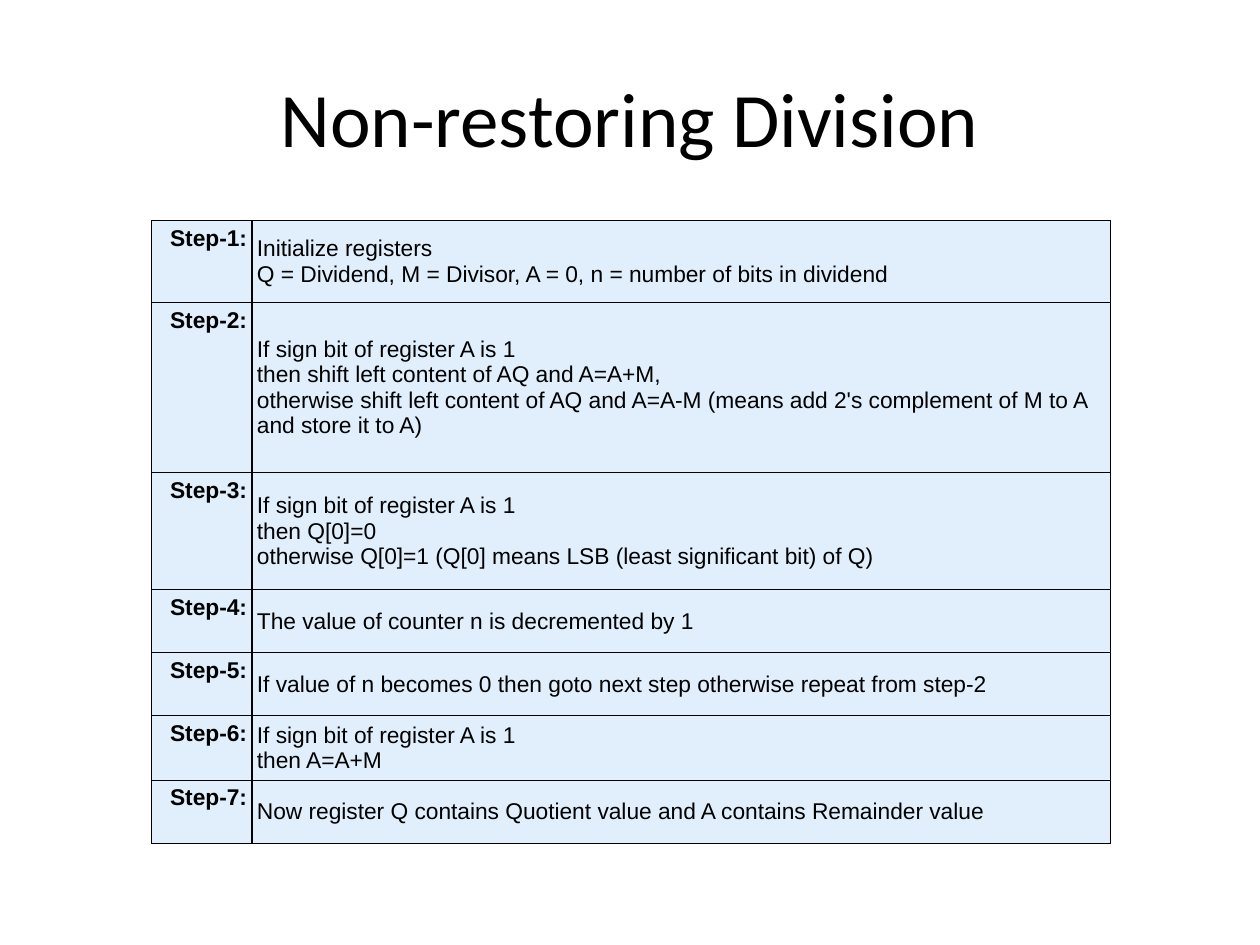
from copy import deepcopy

from lxml import etree
from pptx import Presentation
from pptx import util as u
from pptx.dml.color import RGBColor
from pptx.enum import text
from pptx.oxml import ns

BLACK = "000000"
PALE_BLUE = "E1EFFD"
COLUMN_WIDTHS = (2.03, 17.3)

# Row height in cm and wording of each step
STEPS = [
    (1.65, "Initialize registers\n"
           "Q = Dividend, M = Divisor, A = 0, n = number of bits in dividend"),
    (3.43, "If sign bit of register A is 1\n"
           "then shift left content of AQ and A=A+M,\n"
           "otherwise shift left content of AQ and A=A-M "
           "(means add 2's complement of M to A and store it to A)"),
    (2.36, "If sign bit of register A is 1\n"
           "then Q[0]=0\n"
           "otherwise Q[0]=1 (Q[0] means LSB (least significant bit) of Q)"),
    (1.27, "The value of counter n is decremented by 1"),
    (1.27, "If value of n becomes 0 then goto next step otherwise repeat from step-2"),
    (1.3, "If sign bit of register A is 1\nthen A=A+M"),
    (1.27, "Now register Q contains Quotient value and A contains Remainder value"),
]


def color(value):
    return RGBColor.from_string(value)


def format_text(para, font, size, bold=False):
    for span in para.runs:
        span.font.name = font
        span.font.size = u.Pt(size)
        span.font.bold = bold
        span.font.color.rgb = color(BLACK)
    # Line breaks take the size of the text around them
    for line_break in para._p.findall(ns.qn("a:br")):
        line_break.append(deepcopy(para.runs[0]._r.rPr))


def add_borders(cell, width=0.75):
    properties = cell._tc.get_or_add_tcPr()
    for side in ("lnL", "lnR", "lnT", "lnB"):
        line = etree.SubElement(properties, ns.qn(f"a:{side}"), w=str(u.Pt(width)))
        fill = etree.SubElement(line, ns.qn("a:solidFill"))
        etree.SubElement(fill, ns.qn("a:srgbClr"), val=BLACK)


def fill_cell(cell, wording, align, anchor, bold=False):
    add_borders(cell)
    cell.fill.solid()
    cell.fill.fore_color.rgb = color(PALE_BLUE)
    cell.margin_left = cell.margin_right = u.Cm(0.1)
    cell.margin_top = cell.margin_bottom = u.Cm(0.1)
    cell.vertical_anchor = anchor
    para = cell.text_frame.paragraphs[0]
    para.text = wording
    para.alignment = align
    format_text(para, "Arial", 13, bold)


def set_title(page, wording):
    title = page.shapes.title
    title.left, title.top = u.Cm(1.27), u.Cm(0.76)
    title.width, title.height = u.Cm(22.86), u.Cm(3.18)
    title.text_frame.text = wording
    title.text_frame.vertical_anchor = text.MSO_ANCHOR.MIDDLE
    para = title.text_frame.paragraphs[0]
    para.alignment = text.PP_ALIGN.CENTER
    format_text(para, "Calibri", 44)


def add_steps_table(page):
    height = sum(row_height for row_height, _ in STEPS)
    table = page.shapes.add_table(
        len(STEPS), len(COLUMN_WIDTHS), u.Cm(3.05), u.Cm(4.45),
        u.Cm(sum(COLUMN_WIDTHS)), u.Cm(height)).table
    table.first_row = table.horz_banding = False
    for column, width in zip(table.columns, COLUMN_WIDTHS):
        column.width = u.Cm(width)
    for index, (row_height, wording) in enumerate(STEPS):
        table.rows[index].height = u.Cm(row_height)
        fill_cell(table.cell(index, 0), f"Step-{index + 1}:",
                  text.PP_ALIGN.RIGHT, text.MSO_ANCHOR.TOP, bold=True)
        fill_cell(table.cell(index, 1), wording,
                  text.PP_ALIGN.LEFT, text.MSO_ANCHOR.MIDDLE)


def main():
    deck = Presentation()
    deck.slide_width, deck.slide_height = u.Cm(25.4), u.Cm(19.05)
    page = deck.slides.add_slide(deck.slide_layouts[5])  # title only
    set_title(page, "Non-restoring Division")
    add_steps_table(page)
    deck.save("out.pptx")


if __name__ == "__main__":
    main()
